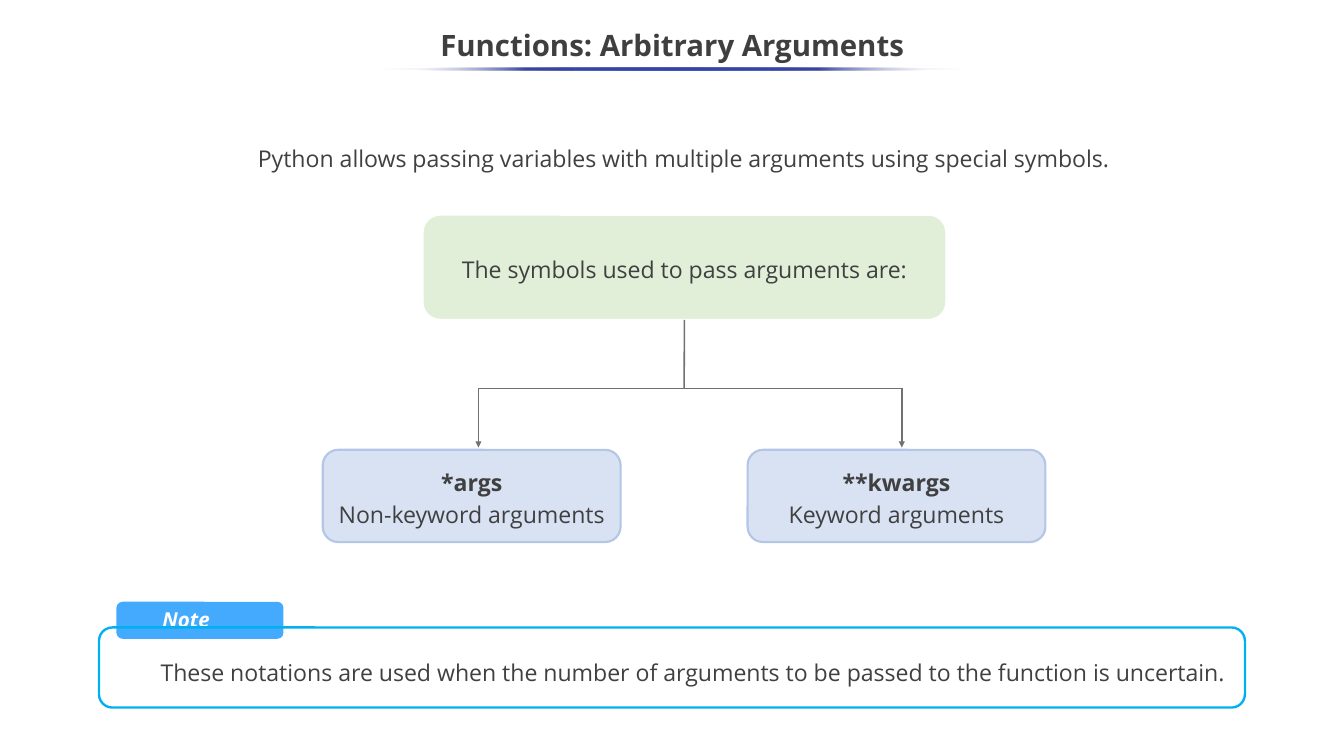
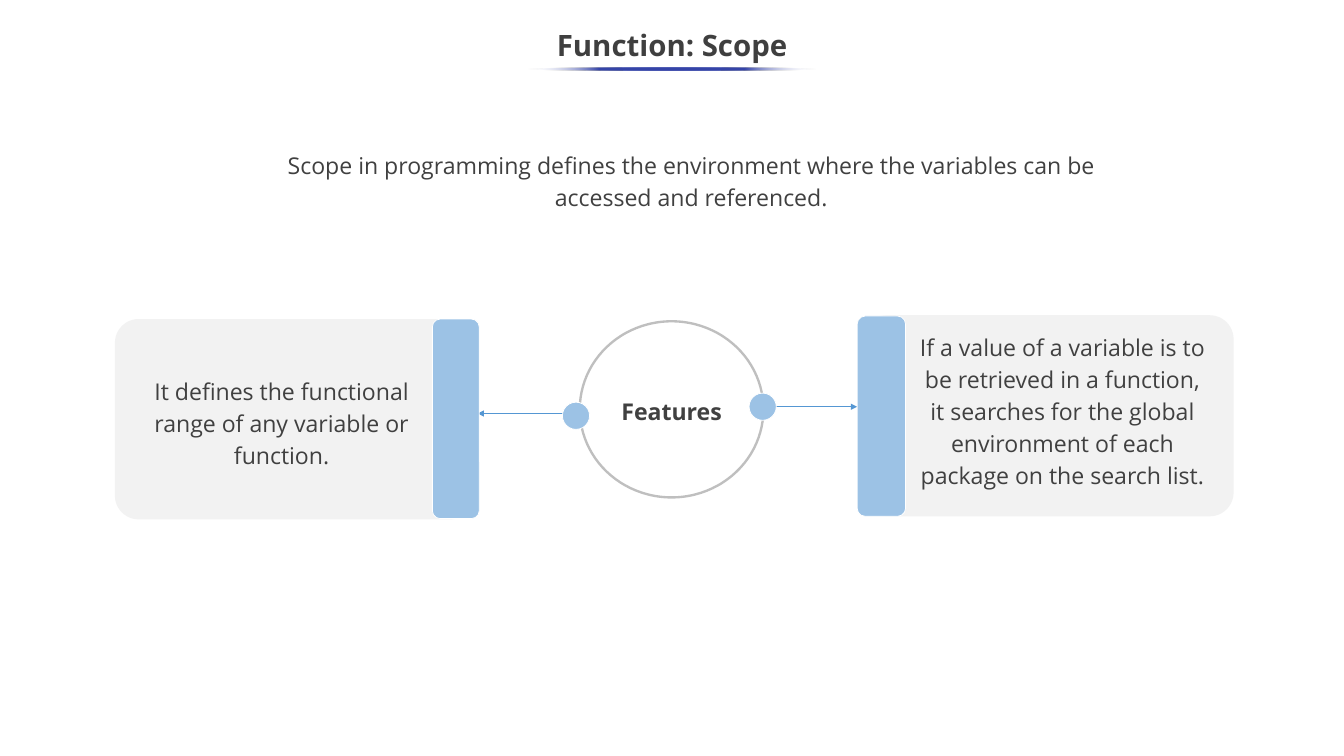
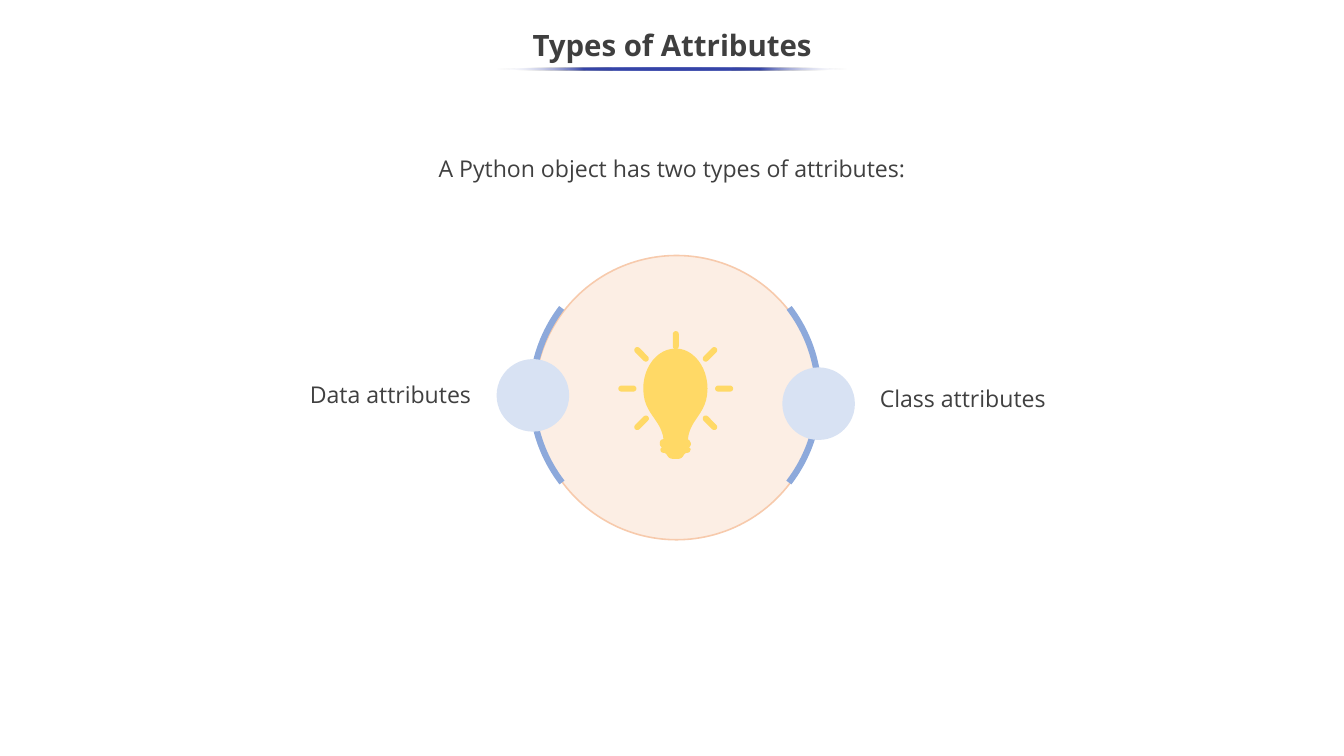
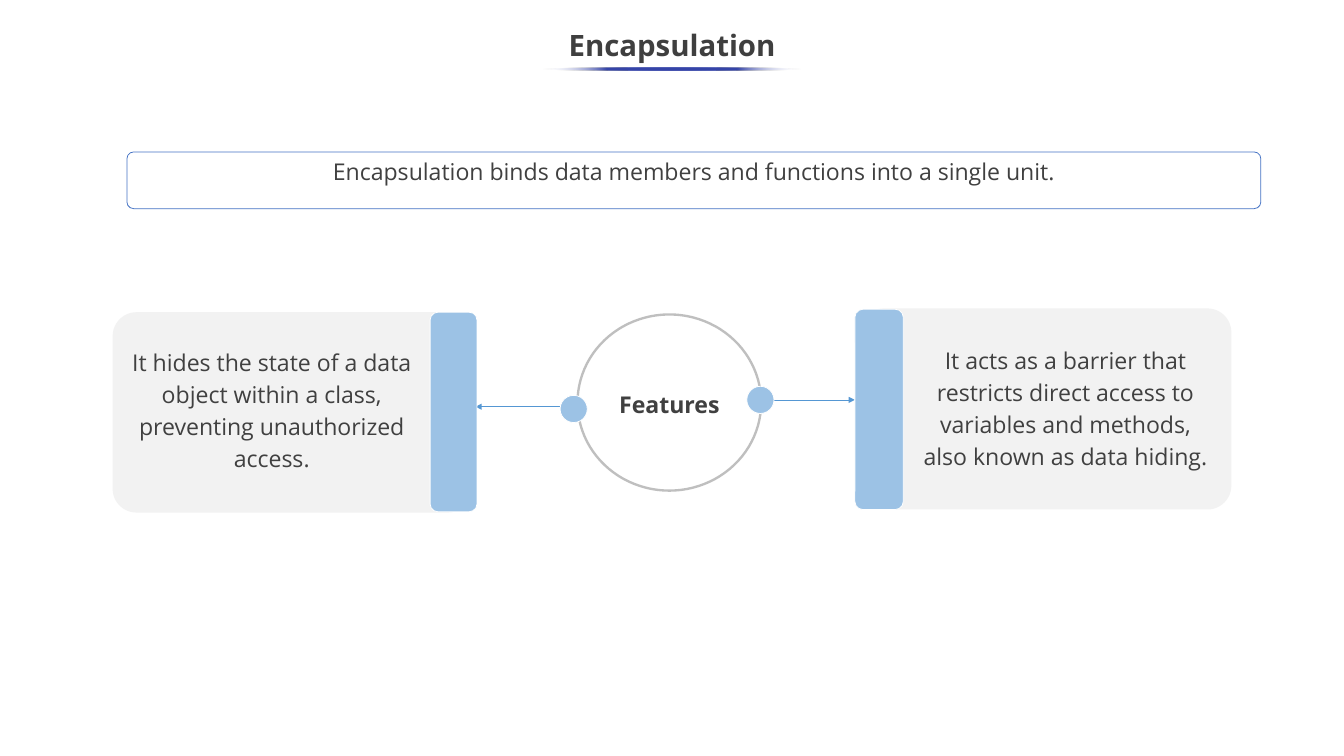
from dataclasses import dataclass
from math import cos, radians, sin

from lxml.etree import SubElement
from pptx import Presentation
from pptx.dml.color import RGBColor
from pptx.enum.shapes import MSO_CONNECTOR, MSO_SHAPE
from pptx.enum.text import MSO_ANCHOR, PP_ALIGN
from pptx.oxml import parse_xml
from pptx.oxml.ns import nsdecls, qn
from pptx.util import Inches, Pt


@dataclass(frozen=True)
class Theme:
    font: str = "Open Sans"
    title_size: float = 28
    body_size: float = 22
    note_size: float = 19.6
    body_spacing: float = 1.15
    title_spacing: float = 0.9
    title: str = "3F3F3F"
    body: str = "404040"
    white: str = "FFFFFF"
    underline: str = "3645A9"
    green: str = "E1EFD8"
    pale_blue: str = "D8E2F3"
    pale_blue_edge: str = "B3C6E7"
    tree_line: str = "757070"
    note_tab: str = "44AAFE"
    note_edge: str = "00B0F0"
    definition_edge: str = "4472C4"
    panel: str = "F2F2F2"
    accent: str = "9CC2E5"
    arrow: str = "5597D3"
    ring: str = "BFBFBF"
    peach: str = "FCEEE4"
    peach_edge: str = "F7CAAC"
    arc: str = "8DA9DB"
    bulb: str = "FFD966"


THEME = Theme()
SLIDE_WIDTH = 17.78
CENTRE = SLIDE_WIDTH / 2


def inches(*lengths):
    return [Inches(length) for length in lengths]


def paint(shape, fill=None, edge=None, weight=1):
    shape.shadow.inherit = False
    if fill:
        shape.fill.solid()
        shape.fill.fore_color.rgb = RGBColor.from_string(fill)
    else:
        shape.fill.background()
    if edge:
        shape.line.color.rgb = RGBColor.from_string(edge)
        shape.line.width = Pt(weight)
    else:
        shape.line.fill.background()


def write(shape, text, align=PP_ALIGN.CENTER, anchor=MSO_ANCHOR.MIDDLE,
          size=THEME.body_size, color=THEME.body, spacing=THEME.body_spacing,
          bold_first=False, italic=False):
    frame = shape.text_frame
    frame.word_wrap = True
    frame.vertical_anchor = anchor
    frame.text = text
    for index, paragraph in enumerate(frame.paragraphs):
        paragraph.alignment = align
        paragraph.line_spacing = spacing
        for run in paragraph.runs:
            run.font.name = THEME.font
            run.font.size = Pt(size)
            run.font.bold = bold_first and index == 0
            run.font.italic = italic
            run.font.color.rgb = RGBColor.from_string(color)


def add_text(slide, box, text, anchor=MSO_ANCHOR.TOP, **style):
    write(slide.shapes.add_textbox(*inches(*box)), text, anchor=anchor, **style)


def add_preset(slide, preset, box, fill=None, edge=None, weight=1):
    shape = slide.shapes.add_shape(preset, *inches(*box))
    paint(shape, fill, edge, weight)
    return shape


def add_rounded(slide, box, fill=None, edge=None, weight=1, corner=0.167):
    shape = add_preset(slide, MSO_SHAPE.ROUNDED_RECTANGLE, box, fill, edge, weight)
    shape.adjustments[0] = corner
    return shape


def add_oval(slide, box, fill=None, edge=None, weight=1):
    return add_preset(slide, MSO_SHAPE.OVAL, box, fill, edge, weight)


def add_line(slide, start, end, color, weight, arrow=False):
    line = slide.shapes.add_connector(MSO_CONNECTOR.STRAIGHT, *inches(*start, *end))
    line.line.color.rgb = RGBColor.from_string(color)
    line.line.width = Pt(weight)
    properties = line._element.spPr
    if arrow:
        SubElement(properties.find(qn("a:ln")), qn("a:tailEnd"), type="triangle")
    SubElement(properties, qn("a:effectLst"))
    return line


def add_underline(slide, width):
    underline = add_oval(slide, (CENTRE - width / 2, 0.89, width, 0.04))
    stops = [(0, THEME.white, 0), (25, THEME.underline, 100),
             (75, THEME.underline, 100), (100, THEME.white, 0)]
    stop_xml = "".join(
        f'<a:gs pos="{position * 1000}"><a:srgbClr val="{color}">'
        f'<a:alpha val="{opacity * 1000}"/></a:srgbClr></a:gs>'
        for position, color, opacity in stops)
    gradient = parse_xml(f'<a:gradFill {nsdecls("a")}><a:gsLst>{stop_xml}</a:gsLst>'
                         '<a:lin ang="10800000" scaled="0"/></a:gradFill>')
    properties = underline._element.spPr
    properties.replace(properties.find(qn("a:noFill")), gradient)


def add_titled_slide(deck, title, underline_width):
    slide = deck.slides.add_slide(deck.slide_layouts[6])
    add_text(slide, (0, 0.25, SLIDE_WIDTH, 0.75), title, anchor=MSO_ANCHOR.MIDDLE,
             size=THEME.title_size, color=THEME.title,
             spacing=THEME.title_spacing, bold_first=True)
    add_underline(slide, underline_width)
    return slide


def bezier(start, control_1, control_2, end, steps=12):
    for step in range(1, steps + 1):
        t = step / steps
        weights = ((1 - t) ** 3, 3 * t * (1 - t) ** 2, 3 * t * t * (1 - t), t ** 3)
        corners = (start, control_1, control_2, end)
        yield tuple(sum(w * corner[axis] for w, corner in zip(weights, corners))
                    for axis in (0, 1))


def add_outline(slide, start, segments, fill):
    points = [start]
    for segment in segments:
        if len(segment) == 1:
            points.append(segment[0])
        else:
            points.extend(bezier(points[-1], *segment))
    builder = slide.shapes.build_freeform(*inches(*start))
    builder.add_line_segments([inches(*point) for point in points[1:]], close=True)
    paint(builder.convert_to_shape(), fill)


def add_bulb(slide):
    centre_x, centre_y, reach = 8.94, 5.14, 0.64
    length, thickness = 0.24, 0.08
    add_outline(slide, (9.13, 5.96), [
        [(9.13, 5.98), (9.11, 5.99), (9.09, 5.99)],
        [(9.07, 5.99), (9.05, 6.01), (9.04, 6.03)],
        [(9.02, 6.06), (9, 6.07), (8.97, 6.07)],
        [(8.91, 6.07)],
        [(8.87, 6.07), (8.85, 6.06), (8.83, 6.03)],
        [(8.82, 6.01), (8.8, 5.99), (8.78, 5.99)],
        [(8.76, 5.99), (8.74, 5.98), (8.74, 5.96)],
        [(8.73, 5.94), (8.75, 5.91), (8.78, 5.91)],
        [(9.09, 5.91)],
        [(9.12, 5.91), (9.15, 5.94), (9.13, 5.96)],
    ], THEME.bulb)
    for angle in range(135, 406, 45):
        ray_x = centre_x + reach * cos(radians(angle))
        ray_y = centre_y + reach * sin(radians(angle))
        ray = add_rounded(slide, (ray_x - length / 2, ray_y - thickness / 2,
                                  length, thickness), THEME.bulb, corner=0.5)
        ray.rotation = angle % 180
    add_rounded(slide, (8.73, 5.81, 0.4, 0.08), THEME.bulb, corner=0.5)
    add_outline(slide, (9.14, 5.87), [
        [(9.14, 5.9), (9.12, 5.92), (9.09, 5.92)],
        [(8.78, 5.92)],
        [(8.75, 5.92), (8.73, 5.9), (8.73, 5.87)],
        [(8.73, 5.85), (8.75, 5.83), (8.78, 5.82)],
        [(8.75, 5.54), (8.51, 5.48), (8.51, 5.14)],
        [(8.51, 4.85), (8.7, 4.61), (8.94, 4.61)],
        [(9.17, 4.61), (9.36, 4.85), (9.36, 5.14)],
        [(9.36, 5.48), (9.12, 5.54), (9.1, 5.82)],
        [(9.12, 5.83), (9.14, 5.85), (9.14, 5.87)],
    ], THEME.bulb)


def add_note(slide, text):
    add_rounded(slide, (1.54, 7.96, 2.21, 0.49), THEME.note_tab)
    add_text(slide, (2.05, 7.98, 1.59, 0.3), "Note", align=PP_ALIGN.LEFT,
             size=THEME.note_size, color=THEME.white, spacing=1,
             bold_first=True, italic=True)
    add_text(slide, (1.86, 8.6, 14.61, 0.73), text)
    add_rounded(slide, (1.31, 8.3, 15.16, 1.06), edge=THEME.note_edge, weight=2.25)


def add_features(slide, left, top):
    def placed(x, y, *size):
        return (left + x, top + y, *size)

    hub = add_oval(slide, placed(6.15, 0.03, 2.43, 2.33), THEME.white, THEME.ring, 2.25)
    write(hub, "Features", bold_first=True)
    for start_x, end_x, y in ((5.95, 4.8, 1.25), (8.65, 9.82, 1.16)):
        add_line(slide, placed(start_x, y), placed(end_x, y), THEME.arrow, 0.75, arrow=True)
    for x, y in ((8.39, 0.98), (5.92, 1.1)):
        add_oval(slide, placed(x, y, 0.36, 0.36), THEME.accent, THEME.white, 0.75)
    for panel, bar in (((0, 0, 4.75, 2.65), (4.2, 0, 0.62, 2.64)),
                       ((9.89, -0.05, 4.91, 2.66), (9.82, -0.04, 0.64, 2.65))):
        add_rounded(slide, placed(*panel), THEME.panel, corner=0.119)
        add_rounded(slide, placed(*bar), THEME.accent, THEME.white, 0.75)


def build_arguments(deck):
    slide = add_titled_slide(deck, "Functions: Arbitrary Arguments", 7.69)
    add_text(slide, (2.87, 1.57, 12.35, 0.98),
             "Python allows passing variables with multiple arguments using special symbols.",
             anchor=MSO_ANCHOR.MIDDLE)
    symbols = add_rounded(slide, (5.59, 2.84, 6.93, 1.39), THEME.green, THEME.white, 2)
    write(symbols, "The symbols used to pass arguments are:")
    fork_y = 5.14
    trunk = add_line(slide, (9.06, 4.23), (9.05, fork_y), THEME.tree_line, 1.5)
    trunk.begin_connect(symbols, 2)
    add_line(slide, (6.33, fork_y), (11.94, fork_y), THEME.tree_line, 1.5)
    branches = ((6.33, 4.27, "*args\nNon-keyword arguments"),
                (11.93, 9.89, "**kwargs\nKeyword arguments"))
    for branch_x, left, label in branches:
        add_line(slide, (branch_x, fork_y), (branch_x, 5.92),
                 THEME.tree_line, 1.5, arrow=True)
        symbol = add_rounded(slide, (left, 5.95, 3.94, 1.22), THEME.pale_blue,
                             THEME.pale_blue_edge, 2)
        write(symbol, label, bold_first=True)
    add_note(slide, "These notations are used when the number of arguments "
                    "to be passed to the function is uncertain.")


def build_scope(deck):
    slide = add_titled_slide(deck, "Function: Scope", 3.81)
    add_text(slide, (3.33, 1.9, 11.63, 0.95),
             "Scope in programming defines the environment where the variables "
             "can be accessed and referenced.")
    add_features(slide, 1.52, 4.22)
    add_text(slide, (1.72, 4.89, 4.01, 1.38),
             "It defines the functional range of any variable or function.")
    add_text(slide, (12.03, 4.31, 4.05, 2.81),
             "If a value of a variable is to be retrieved in a function, it searches "
             "for the global environment of each package on the search list.")


def build_attributes(deck):
    slide = add_titled_slide(deck, "Types of Attributes", 4.63)
    add_oval(slide, (7.07, 3.38, 3.76, 3.76), THEME.peach, THEME.peach_edge, 1.5)
    add_text(slide, (11.54, 4.98, 4.41, 0.53), "Class attributes", align=PP_ALIGN.LEFT)
    add_text(slide, (1.87, 4.93, 4.46, 0.53), "Data attributes", align=PP_ALIGN.RIGHT)
    for start, end, dot_left, dot_top in ((142.35, 217.43, 6.57, 4.75),
                                          (322.57, 37.65, 10.35, 4.86)):
        arc = add_preset(slide, MSO_SHAPE.ARC, (7.04, 3.33, 3.79, 3.79),
                         edge=THEME.arc, weight=6)
        arc.adjustments[0] = start * 0.6
        arc.adjustments[1] = end * 0.6
        add_oval(slide, (dot_left, dot_top, 0.96, 0.96), THEME.pale_blue)
    add_bulb(slide)
    add_text(slide, (5.16, 1.94, 7.46, 0.53), "A Python object has two types of attributes:")


def build_encapsulation(deck):
    slide = add_titled_slide(deck, "Encapsulation", 3.42)
    definition = add_rounded(slide, (1.68, 2.01, 15, 0.75), edge=THEME.definition_edge,
                             weight=0.75, corner=0.118)
    write(definition, "Encapsulation binds data members and functions into a single unit.",
          anchor=MSO_ANCHOR.TOP, spacing=1)
    add_features(slide, 1.49, 4.13)
    add_text(slide, (1.59, 4.5, 4.01, 1.8),
             "It hides the state of a data object within a class, "
             "preventing unauthorized access.", anchor=MSO_ANCHOR.MIDDLE)
    add_text(slide, (12.07, 4.47, 4.05, 1.8),
             "It acts as a barrier that restricts direct access to variables "
             "and methods, also known as data hiding.", anchor=MSO_ANCHOR.MIDDLE)


def main():
    deck = Presentation()
    deck.slide_width, deck.slide_height = inches(SLIDE_WIDTH, 10)
    build_arguments(deck)
    build_scope(deck)
    build_attributes(deck)
    build_encapsulation(deck)
    deck.save("out.pptx")


if __name__ == "__main__":
    main()
